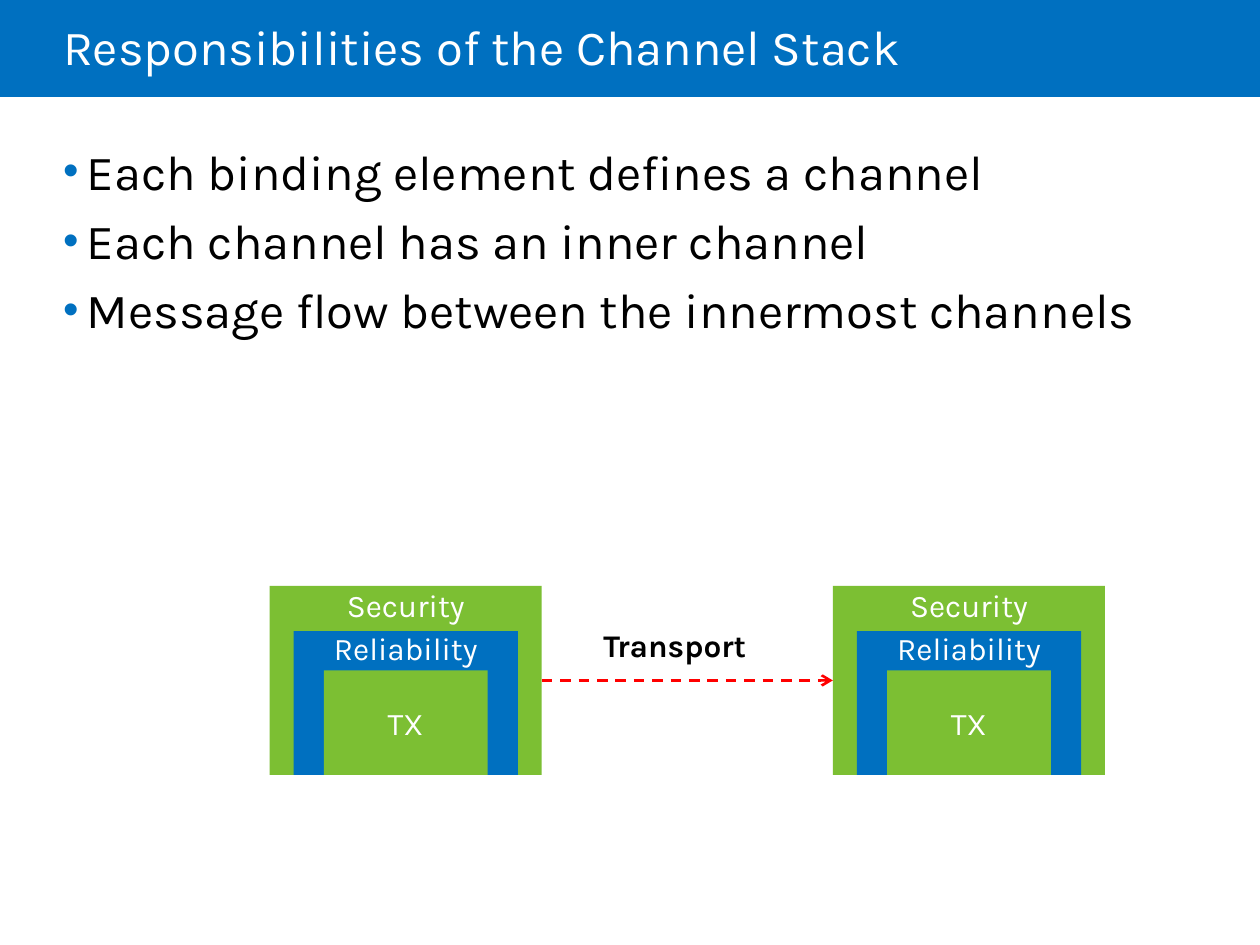
from dataclasses import dataclass
from typing import Optional

from lxml.etree import SubElement
from pptx import Presentation
from pptx.dml.color import RGBColor
from pptx.enum.dml import MSO_LINE
from pptx.enum.shapes import MSO_CONNECTOR, MSO_SHAPE
from pptx.enum.text import MSO_ANCHOR, MSO_AUTO_SIZE, PP_ALIGN
from pptx.oxml.ns import qn
from pptx.util import Emu, Inches, Pt


@dataclass(frozen=True)
class Theme:
    font: str = "Karla"
    blue: str = "0070C0"
    green: str = "7CBF33"
    red: str = "FF0000"
    white: str = "FFFFFF"
    black: str = "000000"
    heading: int = 28
    label: int = 18


@dataclass(frozen=True)
class Box:
    """A place on the grid of 100 columns and 75 rows."""
    col: float
    row: float
    cols: float
    rows: float

    def emu(self) -> tuple:
        return tuple(cells(n) for n in (self.col, self.row, self.cols, self.rows))


@dataclass(frozen=True)
class Layer:
    """A channel of the stack; without a label row its text sits inside."""
    name: str
    color: str
    cols: float
    row: float
    label_cols: float = 0
    label_row: Optional[float] = None


THEME = Theme()
WIDTH, HEIGHT = Inches(10), Inches(7.5)
COLUMNS = 100
LABEL_ROWS = 4
STACK_BOTTOM = 61.5
STACK_CENTRES = (32.2, 76.9)
SECURITY = Layer("Security", THEME.green, 21.6, 46.5, 19.1, 46)
RELIABILITY = Layer("Reliability", THEME.blue, 17.8, 50.1, 16.1, 49.4)
TX = Layer("TX", THEME.green, 13, 53.2)
TITLE = "Responsibilities of the Channel Stack"
POINTS = (
    "Each binding element defines a channel",
    "Each channel has an inner channel",
    "Message flow between the innermost channels",
)


def cells(n: float) -> Emu:
    return Emu(round(n * WIDTH / COLUMNS))


def place(shape, box: Box) -> None:
    shape.left, shape.top, shape.width, shape.height = box.emu()


def style(p, size: int, color: str, bold: bool = False) -> None:
    for r in p.runs:
        r.font.name = THEME.font
        r.font.size = Pt(size)
        r.font.bold = bold
        r.font.color.rgb = RGBColor.from_string(color)


def set_margins(tf, left: float, top: float, right: float, bottom: float) -> None:
    tf.margin_left, tf.margin_top = Inches(left), Inches(top)
    tf.margin_right, tf.margin_bottom = Inches(right), Inches(bottom)


def add_rect(shapes, box: Box, color: str):
    sp = shapes.add_shape(MSO_SHAPE.RECTANGLE, *box.emu())
    sp.shadow.inherit = False
    sp.fill.solid()
    sp.fill.fore_color.rgb = RGBColor.from_string(color)
    sp.line.fill.background()
    return sp


def add_label(shapes, text: str, box: Box, color: str, align=PP_ALIGN.CENTER,
              wrap: bool = True, bold: bool = False) -> None:
    tf = shapes.add_textbox(*box.emu()).text_frame
    tf.word_wrap = wrap
    tf.auto_size = MSO_AUTO_SIZE.SHAPE_TO_FIT_TEXT
    tf.text = text
    tf.paragraphs[0].alignment = align
    style(tf.paragraphs[0], THEME.label, color, bold)


def add_layer(shapes, layer: Layer, centre: float):
    sp = add_rect(shapes, Box(centre - layer.cols / 2, layer.row, layer.cols,
                              STACK_BOTTOM - layer.row), layer.color)
    if layer.label_row is None:
        tf = sp.text_frame
        set_margins(tf, 0.2, 0.05, 0.2, 0.05)
        tf.vertical_anchor = MSO_ANCHOR.MIDDLE
        tf.text = layer.name
        tf.paragraphs[0].alignment = PP_ALIGN.CENTER
        style(tf.paragraphs[0], THEME.label, THEME.white)
    else:
        add_label(shapes, layer.name,
                  Box(centre - layer.label_cols / 2, layer.label_row,
                      layer.label_cols, LABEL_ROWS), THEME.white)
    return sp


def add_stack(shapes, centre: float):
    """Draw the nested channels and return the outermost one."""
    group = shapes.add_group_shape()
    outer, *_ = [add_layer(group.shapes, layer, centre)
                 for layer in (SECURITY, RELIABILITY, TX)]
    return outer


def add_transport(shapes, sender, receiver) -> None:
    y = sender.top + sender.height // 2
    line = shapes.add_connector(MSO_CONNECTOR.STRAIGHT,
                                sender.left + sender.width, y, receiver.left, y)
    line.begin_connect(sender, 3)
    line.end_connect(receiver, 1)
    line.line.color.rgb = RGBColor.from_string(THEME.red)
    line.line.width = Pt(1.5)
    line.line.dash_style = MSO_LINE.DASH
    SubElement(line.line._get_or_add_ln(), qn("a:tailEnd"), type="arrow")
    SubElement(line.element.spPr, qn("a:effectLst"))
    add_label(shapes, "Transport", Box(46.9, 49.2, 13.4, LABEL_ROWS), THEME.black,
              align=PP_ALIGN.LEFT, wrap=False, bold=True)


def add_bullet(p) -> None:
    pPr = p._p.get_or_add_pPr()
    pPr.set("marL", str(Inches(0.19)))
    pPr.set("indent", str(-Inches(0.19)))
    SubElement(SubElement(pPr, qn("a:buClr")), qn("a:srgbClr"), val=THEME.blue)
    SubElement(pPr, qn("a:buSzPct"), val="90000")
    SubElement(pPr, qn("a:buFont"), typeface="Arial")
    SubElement(pPr, qn("a:buChar"), char="•")


def fill_title(title) -> None:
    place(title, Box(5, 0, 85, 8.1))
    tf = title.text_frame
    tf.text = TITLE
    tf.auto_size = MSO_AUTO_SIZE.NONE
    tf.vertical_anchor = MSO_ANCHOR.MIDDLE
    set_margins(tf, 0, 0.05, 0.1, 0.05)
    p = tf.paragraphs[0]
    p.alignment = PP_ALIGN.LEFT
    p.line_spacing = 0.85
    style(p, THEME.heading, THEME.white)


def fill_body(body) -> None:
    place(body, Box(5, 11.2, 88.8, 56.3))
    tf = body.text_frame
    tf.text = "\n".join(POINTS)
    tf.auto_size = MSO_AUTO_SIZE.NONE
    set_margins(tf, 0, 0, 0, 0)
    for i, p in enumerate(tf.paragraphs):
        add_bullet(p)
        p.space_before = Pt(6 if i else 0)
        style(p, THEME.heading, THEME.black)


def main() -> None:
    prs = Presentation()
    prs.slide_width, prs.slide_height = WIDTH, HEIGHT
    s = prs.slides.add_slide(prs.slide_layouts[1])
    bar = add_rect(s.shapes, Box(0, 0, COLUMNS, 7.7), THEME.blue)
    s.shapes.title.element.addprevious(bar.element)
    fill_title(s.shapes.title)
    fill_body(s.placeholders[1])
    sender, receiver = [add_stack(s.shapes, centre) for centre in STACK_CENTRES]
    add_transport(s.shapes, sender, receiver)
    prs.save("out.pptx")


if __name__ == "__main__":
    main()
